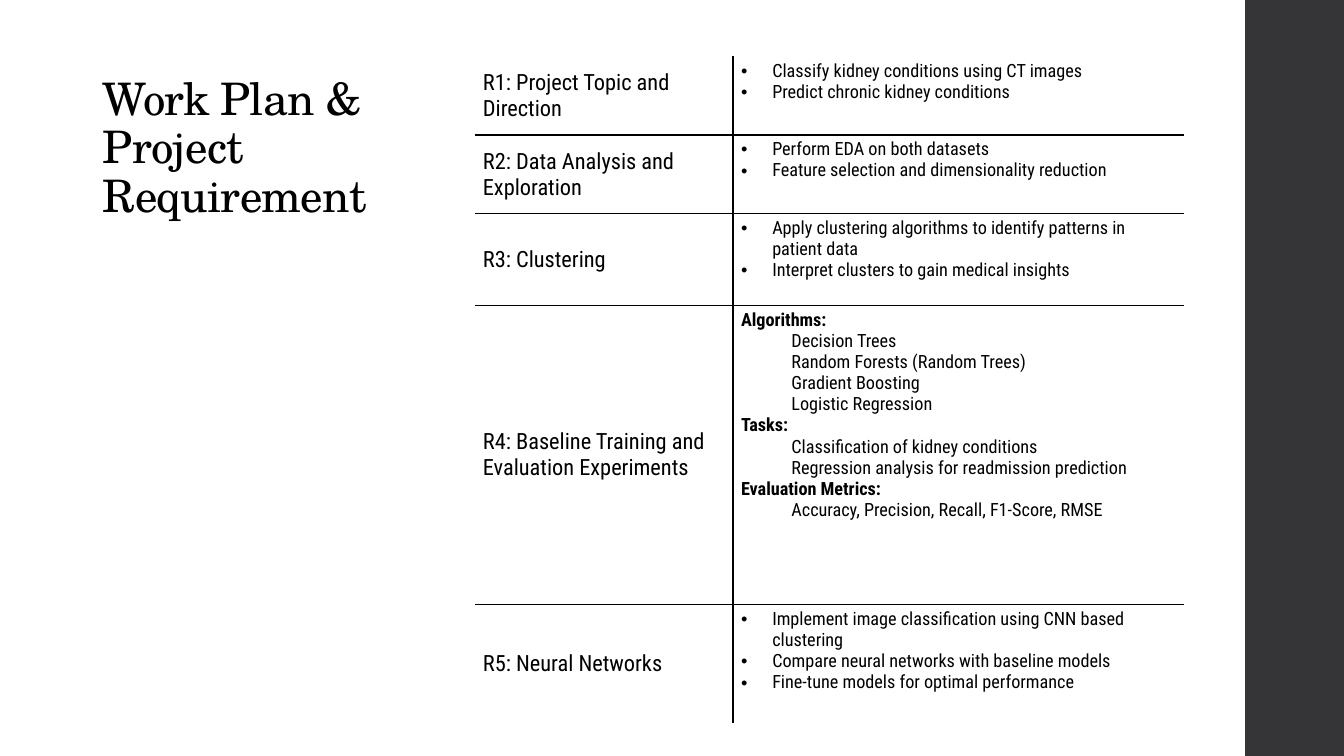
from dataclasses import dataclass

from lxml.etree import SubElement
from pptx import Presentation
from pptx.dml.color import RGBColor
from pptx.enum.shapes import MSO_SHAPE
from pptx.enum.text import MSO_ANCHOR, MSO_AUTO_SIZE, PP_ALIGN
from pptx.oxml.ns import qn
from pptx.util import Inches, Pt


@dataclass(frozen=True)
class Theme:
    ink: RGBColor = RGBColor(0, 0, 0)
    paper: RGBColor = RGBColor(0xFF, 0xFF, 0xFF)
    band: RGBColor = RGBColor(0x35, 0x35, 0x37)
    heading_font: str = "TeX Gyre Schola"
    body_font: str = "Roboto Condensed"
    title_size: int = 32
    requirement_size: int = 16
    detail_size: int = 13
    rule_width: int = 1


THEME = Theme()
BULLET, HEADING, ITEM = "bullet", "heading", "item"
COLUMN_WIDTHS = (2.56, 4.47)
WORK_PLAN = [
    ("R1: Project Topic and Direction", 0.78, [
        (BULLET, "Classify kidney conditions using CT images"),
        (BULLET, "Predict chronic kidney conditions"),
    ]),
    ("R2: Data Analysis and Exploration", 0.78, [
        (BULLET, "Perform EDA on both datasets"),
        (BULLET, "Feature selection and dimensionality reduction"),
    ]),
    ("R3: Clustering", 0.91, [
        (BULLET, "Apply clustering algorithms to identify patterns in patient data"),
        (BULLET, "Interpret clusters to gain medical insights"),
    ]),
    ("R4: Baseline Training and Evaluation Experiments", 2.97, [
        (HEADING, "Algorithms:"),
        (ITEM, "Decision Trees"),
        (ITEM, "Random Forests (Random Trees)"),
        (ITEM, "Gradient Boosting"),
        (ITEM, "Logistic Regression"),
        (HEADING, "Tasks:"),
        (ITEM, "Classification of kidney conditions"),
        (ITEM, "Regression analysis for readmission prediction"),
        (HEADING, "Evaluation Metrics:"),
        (ITEM, "Accuracy, Precision, Recall, F1-Score, RMSE"),
    ]),
    ("R5: Neural Networks", 1.17, [
        (BULLET, "Implement image classification using CNN based clustering"),
        (BULLET, "Compare neural networks with baseline models"),
        (BULLET, "Fine-tune models for optimal performance"),
    ]),
]


def add_run(paragraph, text, font, size, bold=False):
    run = paragraph.add_run()
    run.text = text
    run.font.name = font
    run.font.size = Pt(size)
    run.font.bold = bold
    run.font.color.rgb = THEME.ink
    return run


def indent(paragraph, kind):
    properties = paragraph._p.get_or_add_pPr()
    if kind == BULLET:
        properties.set("marL", str(Inches(0.31)))
        properties.set("indent", str(Inches(-0.31)))
        SubElement(properties, qn("a:buFont")).set("typeface", "Arial")
        SubElement(properties, qn("a:buChar")).set("char", "•")
    elif kind == ITEM:
        paragraph.level = 1
        properties.set("marL", str(Inches(0.5)))
        properties.set("indent", "0")


def rule_cell(cell, visible_sides):
    cell.fill.background()
    properties = cell._tc.get_or_add_tcPr()
    for position, side in enumerate("LRTB"):
        line = SubElement(properties, qn(f"a:ln{side}"), w=str(Pt(THEME.rule_width)))
        if side in visible_sides:
            fill = SubElement(line, qn("a:solidFill"))
            SubElement(fill, qn("a:srgbClr")).set("val", str(THEME.ink))
        else:
            SubElement(line, qn("a:noFill"))
        properties.insert(position, line)


def format_cell(cell, anchor, visible_sides):
    cell.margin_left = cell.margin_right = Inches(0.08)
    cell.margin_top = cell.margin_bottom = Inches(0.04)
    cell.vertical_anchor = anchor
    rule_cell(cell, visible_sides)


def fill_title(slide, left, top, width, height):
    title = slide.shapes.title
    title.left, title.top = Inches(left), Inches(top)
    title.width, title.height = Inches(width), Inches(height)
    frame = title.text_frame
    frame.word_wrap = True
    frame.auto_size = MSO_AUTO_SIZE.NONE
    frame.vertical_anchor = MSO_ANCHOR.BOTTOM
    paragraph = frame.paragraphs[0]
    paragraph.alignment = PP_ALIGN.LEFT
    paragraph.line_spacing = 0.9
    run = add_run(paragraph, "Work Plan & Project Requirement",
                  THEME.heading_font, THEME.title_size)
    run.font._element.set("spc", "-50")


def add_side_band(slide, left, top, width, height):
    band = slide.shapes.add_shape(MSO_SHAPE.RECTANGLE, Inches(left), Inches(top),
                                  Inches(width), Inches(height))
    band.shadow.inherit = False
    band.fill.solid()
    band.fill.fore_color.rgb = THEME.band
    band.line.fill.background()


def add_work_plan(slide, left, top, width, height):
    plan = slide.shapes.add_table(len(WORK_PLAN), len(COLUMN_WIDTHS), Inches(left),
                                  Inches(top), Inches(width), Inches(height)).table
    plan.first_row = False
    plan.horz_banding = False
    for column, column_width in zip(plan.columns, COLUMN_WIDTHS):
        column.width = Inches(column_width)
    for index, (requirement, row_height, details) in enumerate(WORK_PLAN):
        plan.rows[index].height = Inches(row_height)
        row_sides = ("T" if index else "") + ("B" if index < len(WORK_PLAN) - 1 else "")
        requirement_cell, detail_cell = plan.cell(index, 0), plan.cell(index, 1)
        format_cell(requirement_cell, MSO_ANCHOR.MIDDLE, row_sides + "R")
        format_cell(detail_cell, MSO_ANCHOR.TOP, row_sides + "L")
        add_run(requirement_cell.text_frame.paragraphs[0], requirement,
                THEME.body_font, THEME.requirement_size)
        frame = detail_cell.text_frame
        for number, (kind, detail) in enumerate(details):
            paragraph = frame.add_paragraph() if number else frame.paragraphs[0]
            indent(paragraph, kind)
            add_run(paragraph, detail, THEME.body_font, THEME.detail_size, kind == HEADING)


def build_work_plan_slide(deck):
    slide = deck.slides.add_slide(deck.slide_layouts.get_by_name("Title Only"))
    slide.background.fill.solid()
    slide.background.fill.fore_color.rgb = THEME.paper
    add_side_band(slide, 12.35, 0, 0.98, 7.5)
    fill_title(slide, 0.92, 0.5, 3.5, 1.75)
    add_work_plan(slide, 4.71, 0.56, sum(COLUMN_WIDTHS), sum(row[1] for row in WORK_PLAN))


def main():
    deck = Presentation()
    deck.slide_width, deck.slide_height = Inches(13.33), Inches(7.5)
    build_work_plan_slide(deck)
    deck.save("out.pptx")


if __name__ == "__main__":
    main()
